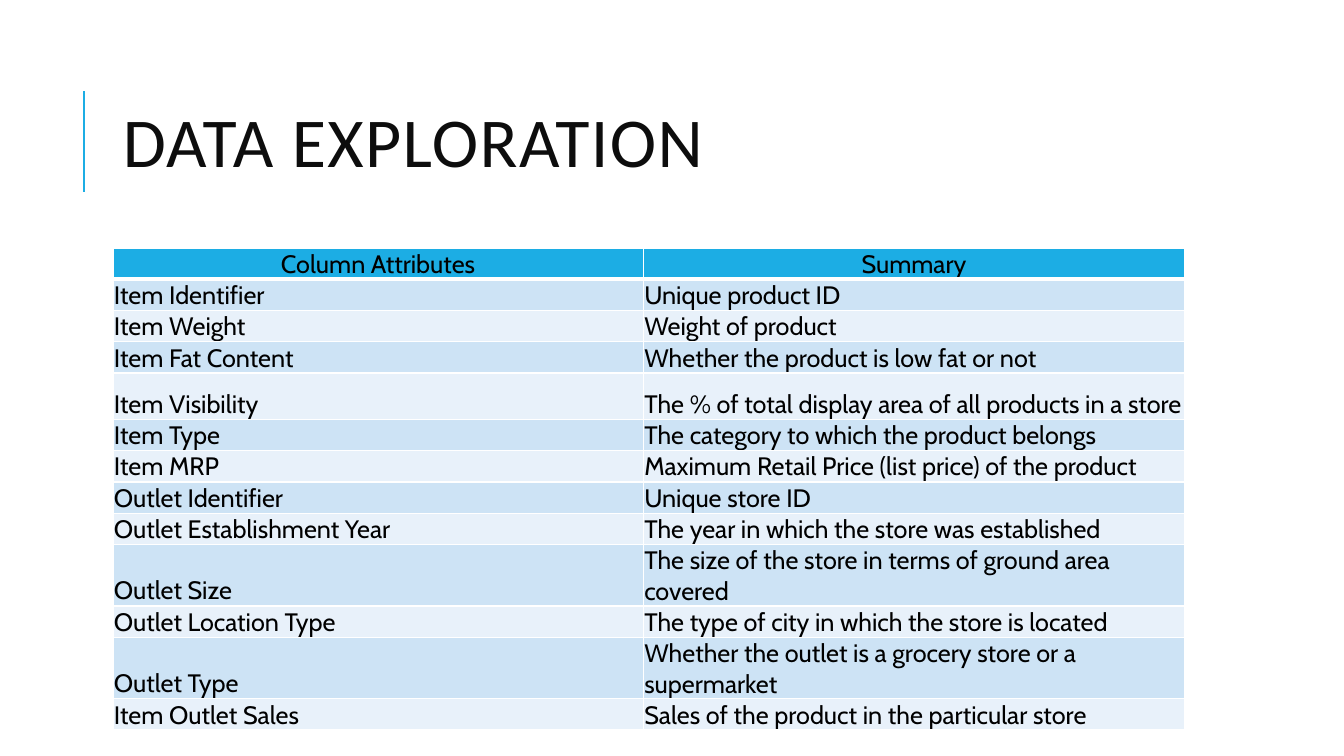
from dataclasses import dataclass

from lxml import etree
from pptx import Presentation
from pptx import util as u
from pptx.dml.color import RGBColor
from pptx.enum import shapes, text
from pptx.oxml import ns


@dataclass(frozen=True)
class Theme:
    accent: str = "1CADE4"
    title_color: str = "0D0D0D"
    body_color: str = "000000"
    border: str = "FFFFFF"
    bands: tuple = ("CDE3F5", "E8F1FA")
    title_font: str = "Calibri"
    body_font: str = "Cabin"
    title_size: int = 50
    body_size: int = 18


ROWS = [
    ("Column Attributes", "Summary"),
    ("Item Identifier", "Unique product ID"),
    ("Item Weight", "Weight of product"),
    ("Item Fat Content", "Whether the product is low fat or not"),
    ("Item Visibility", "The % of total display area of all products in a store"),
    ("Item Type", "The category to which the product belongs"),
    ("Item MRP", "Maximum Retail Price (list price) of the product"),
    ("Outlet Identifier", "Unique store ID"),
    ("Outlet Establishment Year", "The year in which the store was established"),
    ("Outlet Size", "The size of the store in terms of ground area covered"),
    ("Outlet Location Type", "The type of city in which the store is located"),
    ("Outlet Type", "Whether the outlet is a grocery store or a supermarket"),
    ("Item Outlet Sales", "Sales of the product in the particular store"),
]
COLUMN_WIDTHS = (5.26, 5.37)
ROW_HEIGHT, TALL_ROW_HEIGHT = 0.27, 0.46
LONG_SUMMARY = 50  # summaries longer than this get a tall row


class SlideBuilder:
    def __init__(self, slide, theme):
        self.slide = slide
        self.theme = theme

    def add_run(self, paragraph, content, font, size, color):
        run = paragraph.add_run()
        run.text = content
        run.font.name = font
        run.font.size = u.Pt(size)
        run.font.color.rgb = RGBColor.from_string(color)
        return run

    def line(self, x1, y1, x2, y2, width):
        connector = self.slide.shapes.add_connector(
            shapes.MSO_CONNECTOR.STRAIGHT, *map(u.Inches, (x1, y1, x2, y2)))
        connector.line.color.rgb = RGBColor.from_string(self.theme.accent)
        connector.line.width = u.Pt(width)
        etree.SubElement(connector._element.spPr, ns.qn("a:effectLst"))

    def title(self, content, left, top, width, height):
        box = self.slide.shapes.add_textbox(*map(u.Inches, (left, top, width, height)))
        frame = box.text_frame
        frame.word_wrap = True
        frame.vertical_anchor = text.MSO_ANCHOR.MIDDLE
        paragraph = frame.paragraphs[0]
        paragraph.line_spacing = 0.8
        run = self.add_run(paragraph, content, self.theme.title_font,
                           self.theme.title_size, self.theme.title_color)
        run._r.get_or_add_rPr().set("spc", "100")

    def border(self, cell, side, width):
        properties = cell._tc.get_or_add_tcPr()
        line = etree.SubElement(properties, ns.qn(f"a:ln{side}"), w=str(u.Pt(width)))
        fill = etree.SubElement(line, ns.qn("a:solidFill"))
        etree.SubElement(fill, ns.qn("a:srgbClr"), val=self.theme.border)

    def cell(self, cell, content, row):
        header = row == 0
        cell.vertical_anchor = text.MSO_ANCHOR.BOTTOM
        cell.margin_left = cell.margin_right = cell.margin_top = u.Inches(0.01)
        cell.margin_bottom = 0
        # A heavier rule separates the header from the body
        widths = {"L": 1, "R": 1, "T": 3 if row == 1 else 1, "B": 3 if header else 1}
        for side, width in widths.items():
            self.border(cell, side, width)
        color = self.theme.accent if header else self.theme.bands[(row - 1) % 2]
        cell.fill.solid()
        cell.fill.fore_color.rgb = RGBColor.from_string(color)
        paragraph = cell.text_frame.paragraphs[0]
        paragraph.alignment = text.PP_ALIGN.CENTER if header else text.PP_ALIGN.LEFT
        self.add_run(paragraph, content, self.theme.body_font,
                     self.theme.body_size, self.theme.body_color)

    def table(self, rows, column_widths, left, top):
        heights = [TALL_ROW_HEIGHT if len(summary) > LONG_SUMMARY else ROW_HEIGHT
                   for _, summary in rows]
        table = self.slide.shapes.add_table(
            len(rows), len(column_widths), u.Inches(left), u.Inches(top),
            u.Inches(sum(column_widths)), u.Inches(sum(heights))).table
        for column, width in zip(table.columns, column_widths):
            column.width = u.Inches(width)
        for index, (contents, height) in enumerate(zip(rows, heights)):
            table.rows[index].height = u.Inches(height)
            for column, content in enumerate(contents):
                self.cell(table.cell(index, column), content, index)


def main():
    presentation = Presentation()
    presentation.slide_width = u.Inches(13.33)
    presentation.slide_height = u.Inches(7.5)
    slide = presentation.slides.add_slide(presentation.slide_layouts[6])
    builder = SlideBuilder(slide, Theme())

    # Heading with its accent rule
    builder.line(0.83, 1.9, 0.83, 0.9, 1.5)
    builder.title("DATA EXPLORATION", 1.12, 0.64, 10.63, 1.64)

    # Attribute table
    builder.table(ROWS, COLUMN_WIDTHS, 1.12, 2.46)

    presentation.save("out.pptx")


if __name__ == "__main__":
    main()
